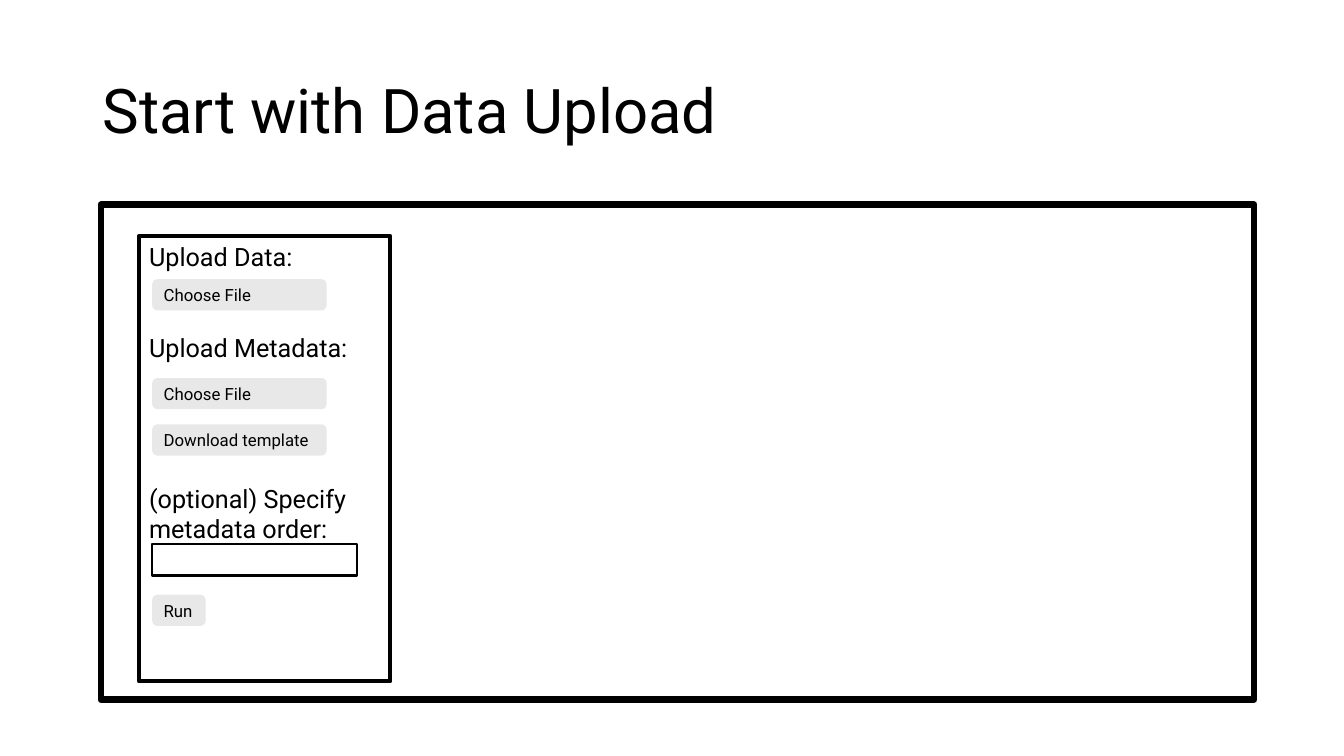
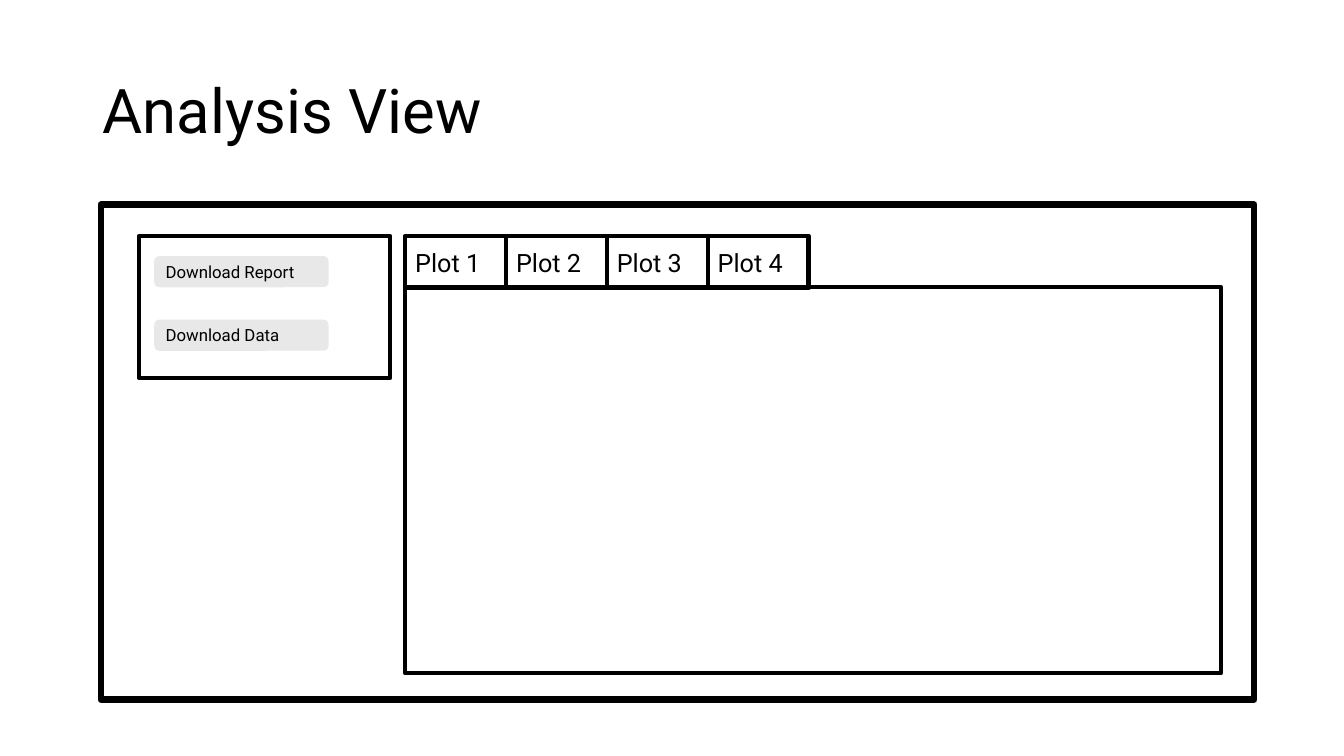
from pptx import Presentation
from pptx.dml.color import RGBColor
from pptx.enum.shapes import MSO_SHAPE
from pptx.enum.text import MSO_ANCHOR, PP_ALIGN
from pptx.util import Inches, Pt

RECT, ROUND = MSO_SHAPE.RECTANGLE, MSO_SHAPE.ROUNDED_RECTANGLE
TOP, MIDDLE = MSO_ANCHOR.TOP, MSO_ANCHOR.MIDDLE
LEFT = PP_ALIGN.LEFT

# Shared style
FONT, INK, GREY = "Roboto", "000000", "E8E8E8"
TITLE = (0.92, 0.4, 11.5, 1.45)
FRAME = (1, 2.03, 11.44, 4.91)
SIDE_X, SIDE_Y, SIDE_W = 1.38, 2.34, 2.49
BTN_W, BTN_H = 1.73, 0.31

# Upload slide: label and space before it in points; button text, top, width
LABELS = [
    ("Upload Data:", 0),
    ("Upload Metadata:", 43.5),
    ("(optional) Specify metadata order:", 86.5),
]
UPLOAD_X = 1.51
UPLOAD = [
    ("Choose File", 2.77, BTN_W),
    ("Choose File", 3.75, BTN_W),
    ("Download template", 4.21, BTN_W),
    ("Run", 5.9, 0.53),
]
ENTRY = (UPLOAD_X, 5.4, 2.03, BTN_H)

# Analysis slide
EXPORT_X = 1.53
EXPORT = [("Download Report", 2.54, BTN_W), ("Download Data", 3.17, BTN_W)]
TABS = ["Plot 1", "Plot 2", "Plot 3", "Plot 4"]
TAB_W, TAB_H = 1, 0.52
PLOT = (4.02, 2.85, 8.09, 3.83)


def color(code):
    return RGBColor.from_string(code)


def write(shape, lines, size, anchor=MIDDLE):
    """Fill a shape with (text, space before) paragraphs."""
    frame = shape.text_frame
    frame.word_wrap = True
    frame.vertical_anchor = anchor
    for i, (text, gap) in enumerate(lines):
        para = frame.paragraphs[0] if i == 0 else frame.add_paragraph()
        para.text = text
        para.alignment = LEFT
        para.space_before = Pt(gap)
        para.font.name = FONT
        para.font.size = Pt(size)
        para.font.color.rgb = color(INK)
    return frame


def add_box(slide, area, line=3):
    box = slide.shapes.add_shape(RECT, *map(Inches, area))
    box.shadow.inherit = False
    box.fill.background()
    box.line.color.rgb = color(INK)
    box.line.width = Pt(line)
    return box


def add_button(slide, text, area):
    button = slide.shapes.add_shape(ROUND, *map(Inches, area))
    button.shadow.inherit = False
    button.fill.solid()
    button.fill.fore_color.rgb = color(GREY)
    button.line.fill.background()
    write(button, [(text, 0)], 12)


def add_page(deck, title, side_h, labels=()):
    """Add a slide with its title, window frame and side panel."""
    slide = deck.slides.add_slide(deck.slide_layouts[6])
    head = slide.shapes.add_textbox(*map(Inches, TITLE))
    write(head, [(title, 0)], 44).paragraphs[0].line_spacing = 0.9
    add_box(slide, FRAME, 4.5)
    side = add_box(slide, (SIDE_X, SIDE_Y, SIDE_W, side_h))
    write(side, labels, 18, TOP)
    return slide


def add_menu(slide, x, buttons):
    for text, y, width in buttons:
        add_button(slide, text, (x, y, width, BTN_H))


def main():
    deck = Presentation()
    deck.slide_width, deck.slide_height = Inches(13.33), Inches(7.5)

    # Data upload
    upload = add_page(deck, "Start with Data Upload", 4.42, LABELS)
    add_menu(upload, UPLOAD_X, UPLOAD)
    add_box(upload, ENTRY, 1.5)

    # Analysis view
    view = add_page(deck, "Analysis View", 1.41)
    add_menu(view, EXPORT_X, EXPORT)
    add_box(view, PLOT)
    for i, name in enumerate(TABS):
        tab = add_box(view, (PLOT[0] + i * TAB_W, SIDE_Y, TAB_W, TAB_H))
        write(tab, [(name, 0)], 18)

    deck.save("out.pptx")


if __name__ == "__main__":
    main()
